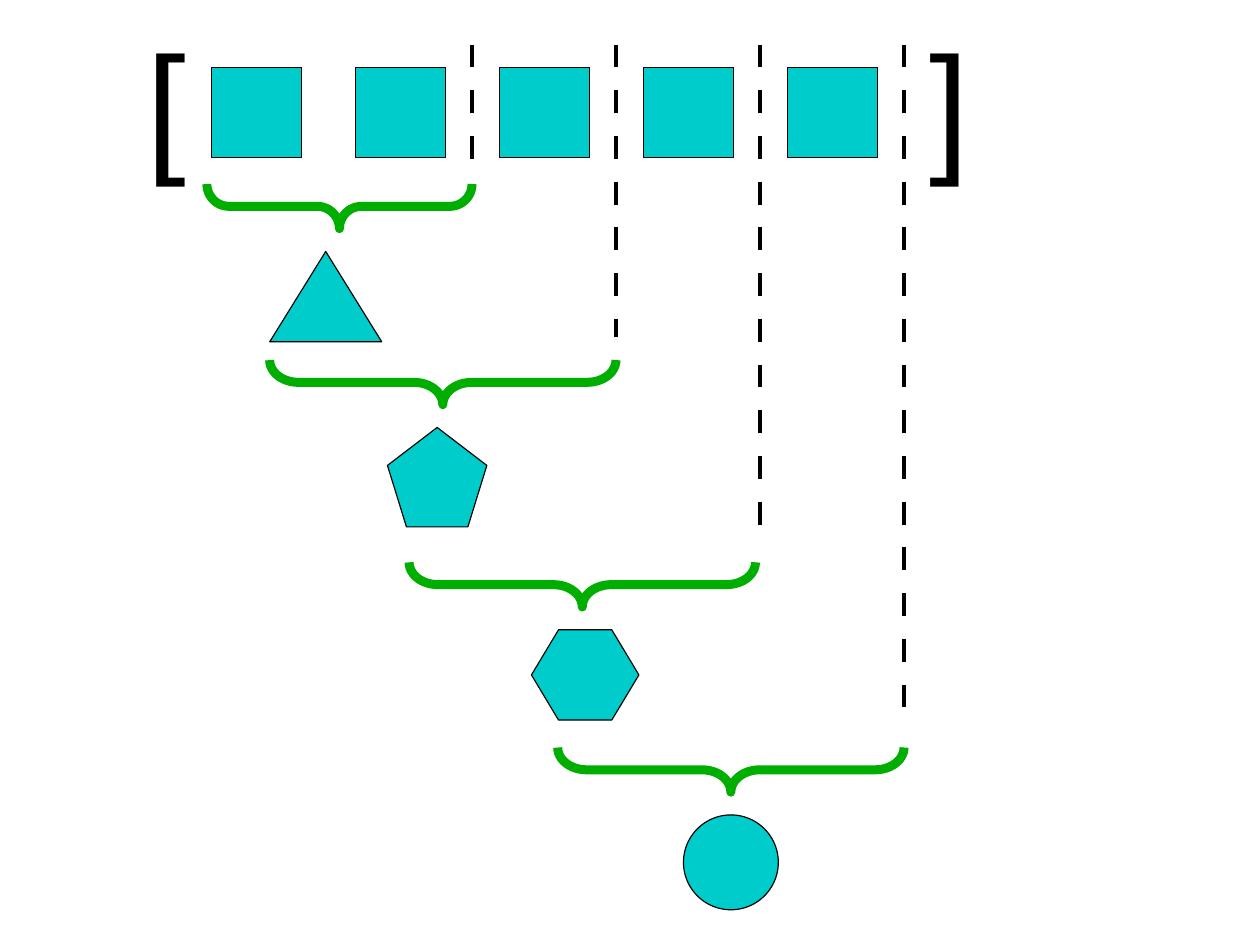
from typing import NamedTuple

from lxml.etree import SubElement
from pptx import Presentation
from pptx.dml.color import RGBColor
from pptx.enum.shapes import MSO_CONNECTOR, MSO_SHAPE
from pptx.enum.text import MSO_AUTO_SIZE
from pptx.oxml.ns import qn
from pptx.slide import Slide
from pptx.util import Inches, Pt

BLACK = RGBColor(0x00, 0x00, 0x00)
TEAL = RGBColor(0x00, 0xCC, 0xCC)
GREEN = RGBColor(0x00, 0xAE, 0x00)

CM_PER_INCH = 2.54
SLIDE_WIDTH = 28 / CM_PER_INCH
SLIDE_HEIGHT = 21 / CM_PER_INCH
ITEM_COUNT = 5
ITEM_PITCH = 1.26
ITEM_LEFT = 1.85
ITEM_TOP = 0.59
ITEM_SIZE = 0.79
DIVIDER_LEFT = 4.13
DIVIDER_TOP = 0.39
DASH_LENGTH = "508000"
BRACE_DEPTH = 0.39


class Figure(NamedTuple):
    kind: MSO_SHAPE
    left: float
    top: float
    width: float
    height: float


class Brace(NamedTuple):
    left: float
    top: float
    width: float


class Step(NamedTuple):
    divider_bottom: float
    brace: Brace
    result: Figure


STEPS = [
    Step(1.57, Brace(1.81, 1.61, 2.32),
         Figure(MSO_SHAPE.ISOSCELES_TRIANGLE, 2.36, 2.2, 0.98, 0.79)),
    Step(2.95, Brace(2.36, 3.15, 3.03),
         Figure(MSO_SHAPE.REGULAR_PENTAGON, 3.39, 3.74, 0.87, 0.87)),
    Step(4.72, Brace(3.58, 4.92, 3.03),
         Figure(MSO_SHAPE.HEXAGON, 4.65, 5.51, 0.94, 0.79)),
    Step(6.3, Brace(4.88, 6.54, 3.03),
         Figure(MSO_SHAPE.OVAL, 5.98, 7.13, 0.83, 0.83)),
]


def add_figure(slide: Slide, figure: Figure) -> None:
    shape = slide.shapes.add_shape(
        figure.kind, Inches(figure.left), Inches(figure.top),
        Inches(figure.width), Inches(figure.height))
    shape.shadow.inherit = False
    shape.fill.solid()
    shape.fill.fore_color.rgb = TEAL
    shape.line.color.rgb = BLACK
    shape.line.width = Pt(0)
    if figure.kind == MSO_SHAPE.HEXAGON:
        shape.adjustments[0] = 0.3


def add_brace(slide: Slide, brace: Brace) -> None:
    center_x = brace.left + brace.width / 2
    center_y = brace.top + BRACE_DEPTH / 2
    shape = slide.shapes.add_shape(
        MSO_SHAPE.LEFT_BRACE,
        Inches(center_x - BRACE_DEPTH / 2), Inches(center_y - brace.width / 2),
        Inches(BRACE_DEPTH), Inches(brace.width))
    shape.rotation = 270
    shape.adjustments[0] = brace.width / 12 / BRACE_DEPTH
    shape.shadow.inherit = False
    shape.fill.background()
    shape.line.color.rgb = GREEN
    shape.line.width = Pt(5.67)
    SubElement(shape.line._get_or_add_ln(), qn("a:round"))


def add_divider(slide: Slide, left: float, bottom: float) -> None:
    connector = slide.shapes.add_connector(
        MSO_CONNECTOR.STRAIGHT, Inches(left), Inches(DIVIDER_TOP),
        Inches(left), Inches(bottom))
    connector.line.color.rgb = BLACK
    connector.line.width = Pt(2.83)
    dashes = SubElement(connector.line._get_or_add_ln(), qn("a:custDash"))
    SubElement(dashes, qn("a:ds"), d=DASH_LENGTH, sp=DASH_LENGTH)
    SubElement(connector._element.spPr, qn("a:effectLst"))


def add_bracket(slide: Slide, text: str, left: float) -> None:
    box = slide.shapes.add_textbox(
        Inches(left), Inches(0.08), Inches(0.55), Inches(1.65))
    frame = box.text_frame
    frame.word_wrap = False
    frame.auto_size = MSO_AUTO_SIZE.SHAPE_TO_FIT_TEXT
    run = frame.paragraphs[0].add_run()
    run.text = text
    run.font.name = "Arial"
    run.font.size = Pt(90)
    run.font.color.rgb = BLACK


presentation = Presentation()
presentation.slide_width = Inches(SLIDE_WIDTH)
presentation.slide_height = Inches(SLIDE_HEIGHT)
slide = presentation.slides.add_slide(presentation.slide_layouts[6])

add_bracket(slide, "[", 1.18)
for index in range(ITEM_COUNT):
    add_figure(slide, Figure(MSO_SHAPE.RECTANGLE, ITEM_LEFT + index * ITEM_PITCH,
                             ITEM_TOP, ITEM_SIZE, ITEM_SIZE))
add_bracket(slide, "]", 8.03)

for index, step in enumerate(STEPS):
    add_divider(slide, DIVIDER_LEFT + index * ITEM_PITCH, step.divider_bottom)
    add_brace(slide, step.brace)
    add_figure(slide, step.result)

presentation.save("out.pptx")
